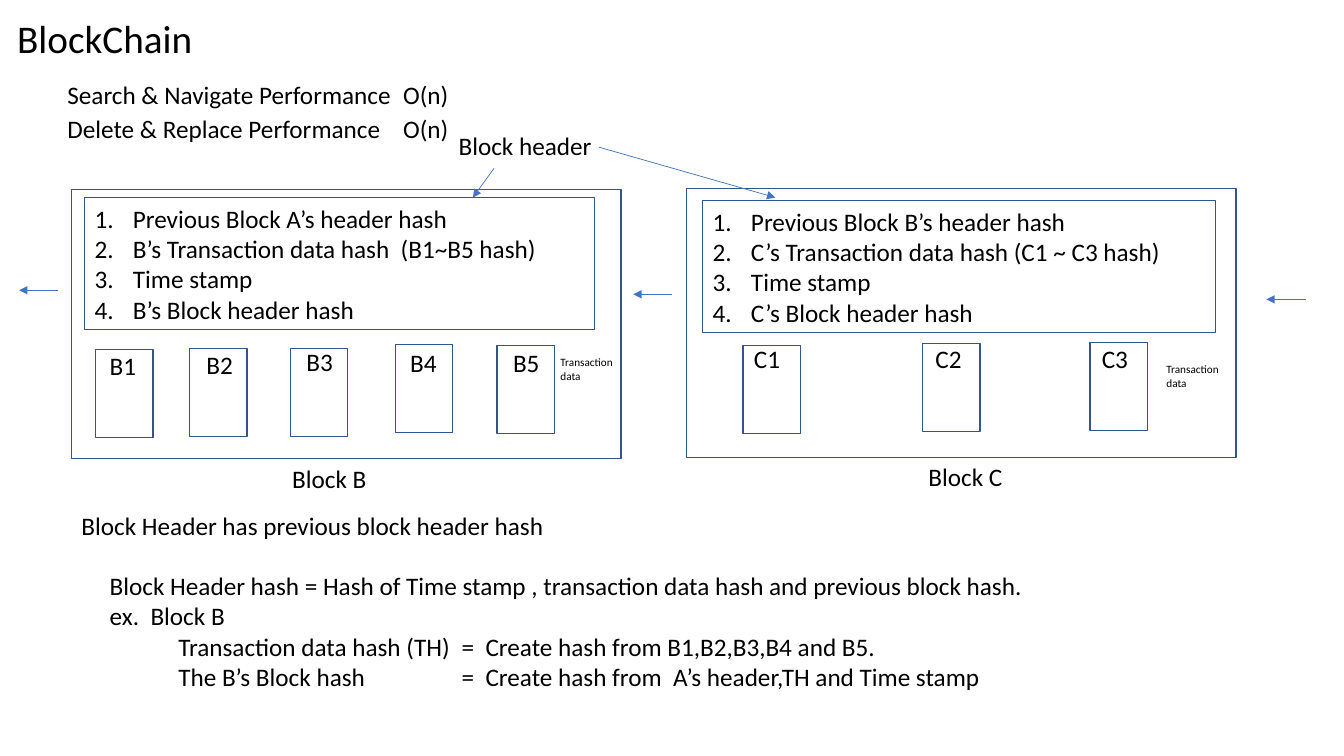
from dataclasses import dataclass

from lxml import etree
from pptx import Presentation, util as u
from pptx.dml import color
from pptx.enum import shapes, text
from pptx.oxml import ns

PX = 9144


@dataclass(frozen=True)
class Theme:
    font: str = "Calibri"
    ink: color.RGBColor = color.RGBColor(0, 0, 0)
    outline: color.RGBColor = color.RGBColor(0x32, 0x54, 0x91)
    arrow: color.RGBColor = color.RGBColor(0x44, 0x72, 0xC4)
    title: int = 28
    body: int = 18
    small: int = 8


@dataclass(frozen=True)
class Box:
    left: int
    top: int
    width: int
    height: int

    def emu(self) -> tuple[int, int, int, int]:
        return self.left * PX, self.top * PX, self.width * PX, self.height * PX


@dataclass(frozen=True)
class Label:
    box: Box
    lines: tuple[str, ...]
    size: int
    space_before: tuple[float, ...] = ()
    indents: tuple[int, ...] = ()
    tab: int = 0


@dataclass(frozen=True)
class Transaction:
    name: str
    card: tuple[int, int]
    label: tuple[int, int]


@dataclass(frozen=True)
class Block:
    name: str
    frame: Box
    header: Box
    caption: Box
    data_note: Box
    header_lines: tuple[str, ...]
    transactions: tuple[Transaction, ...]


@dataclass(frozen=True)
class Arrow:
    start: tuple[int, int]
    end: tuple[int, int]


THEME = Theme()

BLOCKS = (
    Block(
        "Block B", Box(71, 188, 545, 267), Box(84, 196, 506, 131),
        Box(280, 455, 190, 40), Box(546, 348, 81, 37),
        ("Previous Block A’s header hash",
         "B’s Transaction data hash  (B1~B5 hash)",
         "Time stamp", "B’s Block header hash"),
        (Transaction("B1", (95, 347), (99, 343)),
         Transaction("B2", (188, 346), (195, 342)),
         Transaction("B3", (288, 346), (294, 339)),
         Transaction("B4", (392, 342), (397, 340)),
         Transaction("B5", (493, 343), (499, 340))),
    ),
    Block(
        "Block C", Box(681, 187, 545, 267), Box(697, 199, 509, 131),
        Box(911, 453, 220, 40), Box(1147, 355, 81, 37),
        ("Previous Block B’s header hash",
         "C’s Transaction data hash (C1 ~ C3 hash)",
         "Time stamp", "C’s Block header hash"),
        (Transaction("C1", (737, 343), (738, 336)),
         Transaction("C2", (915, 341), (918, 336)),
         Transaction("C3", (1081, 340), (1083, 336))),
    ),
)

ARROWS = (
    Arrow((58, 288), (19, 288)),
    Arrow((667, 292), (628, 292)),
    Arrow((1295, 297), (1256, 297)),
    Arrow((490, 167), (469, 196)),
    Arrow((594, 146), (769, 196)),
)

LABELS = (
    Label(Box(57, 74, 440, 74),
          ("Search & Navigate Performance\tO(n)",
           "Delete & Replace Performance\tO(n)"),
          THEME.body, space_before=(0, 2.4), tab=333),
    Label(Box(445, 124, 198, 40), ("Block header",), THEME.body),
    Label(Box(71, 501, 1061, 130),
          ("Block Header has previous block header hash",
           "Block Header hash = Hash of Time stamp , transaction data hash "
           "and previous block hash.",
           "ex.  Block B"),
          THEME.body, space_before=(0, 21.6, 0), indents=(0, 28, 28)),
    Label(Box(167, 621, 965, 70),
          ("Transaction data hash (TH)\t=  Create hash from B1,B2,B3,B4 and B5.",
           "The B’s Block hash\t=  Create hash from  A’s header,TH and Time stamp"),
          THEME.body, tab=281),
)


def style_paragraph(paragraph, size: int) -> None:
    paragraph.alignment = text.PP_ALIGN.LEFT
    paragraph.font.name = THEME.font
    paragraph.font.size = u.Pt(size)
    paragraph.font.color.rgb = THEME.ink


def write_lines(frame, lines: tuple[str, ...], size: int) -> None:
    frame.word_wrap = True
    frame.text = "\n".join(lines)
    for paragraph in frame.paragraphs:
        style_paragraph(paragraph, size)


def add_label(slide, label: Label) -> None:
    frame = slide.shapes.add_textbox(*label.box.emu()).text_frame
    write_lines(frame, label.lines, label.size)
    for paragraph, points in zip(frame.paragraphs, label.space_before):
        paragraph.space_before = u.Pt(points)
    for paragraph, indent in zip(frame.paragraphs, label.indents):
        paragraph._p.get_or_add_pPr().set("marL", str(indent * PX))
    if label.tab:
        for paragraph in frame.paragraphs:
            properties = paragraph._p.get_or_add_pPr()
            tabs = etree.Element(ns.qn("a:tabLst"))
            etree.SubElement(tabs, ns.qn("a:tab"), pos=str(label.tab * PX), algn="l")
            properties.find(ns.qn("a:defRPr")).addprevious(tabs)


def add_outline(slide, box: Box, width: float):
    shape = slide.shapes.add_shape(shapes.MSO_SHAPE.RECTANGLE, *box.emu())
    shape.shadow.inherit = False
    shape.fill.background()
    shape.line.color.rgb = THEME.outline
    shape.line.width = u.Pt(width)
    return shape


def add_header(slide, block: Block) -> None:
    frame = add_outline(slide, block.header, 0.75).text_frame
    write_lines(frame, block.header_lines, THEME.body)
    frame.vertical_anchor = text.MSO_ANCHOR.MIDDLE
    for paragraph in frame.paragraphs:
        properties = paragraph._p.get_or_add_pPr()
        properties.set("marL", str(38 * PX))
        properties.set("indent", str(-38 * PX))
        number = etree.Element(ns.qn("a:buAutoNum"), type="arabicPeriod")
        properties.find(ns.qn("a:defRPr")).addprevious(number)


def add_block(slide, block: Block) -> None:
    add_outline(slide, block.frame, 1)
    add_header(slide, block)
    for transaction in block.transactions:
        add_outline(slide, Box(*transaction.card, 57, 87), 1)
        add_label(slide, Label(Box(*transaction.label, 57, 40),
                               (transaction.name,), THEME.body))
    add_label(slide, Label(block.caption, (block.name,), THEME.body))
    add_label(slide, Label(block.data_note, ("Transaction data",), THEME.small))


def add_arrow(slide, arrow: Arrow) -> None:
    points = [value * PX for value in (*arrow.start, *arrow.end)]
    connector = slide.shapes.add_connector(shapes.MSO_CONNECTOR.STRAIGHT, *points)
    connector.line.color.rgb = THEME.arrow
    connector.line.width = u.Pt(0.5)
    etree.SubElement(connector.line._get_or_add_ln(), ns.qn("a:tailEnd"), type="triangle")
    etree.SubElement(connector._element.spPr, ns.qn("a:effectLst"))


def add_title(slide, box: Box, words: str) -> None:
    title = slide.shapes.title
    title.left, title.top, title.width, title.height = box.emu()
    write_lines(title.text_frame, (words,), THEME.title)
    title.text_frame.auto_size = text.MSO_AUTO_SIZE.NONE
    title.text_frame.vertical_anchor = text.MSO_ANCHOR.TOP


def main() -> None:
    presentation = Presentation()
    presentation.slide_width, presentation.slide_height = 1333 * PX, 750 * PX
    slide = presentation.slides.add_slide(presentation.slide_layouts.get_by_name("Title Only"))
    add_title(slide, Box(7, 9, 1015, 60), "BlockChain")
    for block in BLOCKS:
        add_block(slide, block)
    for arrow in ARROWS:
        add_arrow(slide, arrow)
    for label in LABELS:
        add_label(slide, label)
    presentation.save("out.pptx")


if __name__ == "__main__":
    main()
